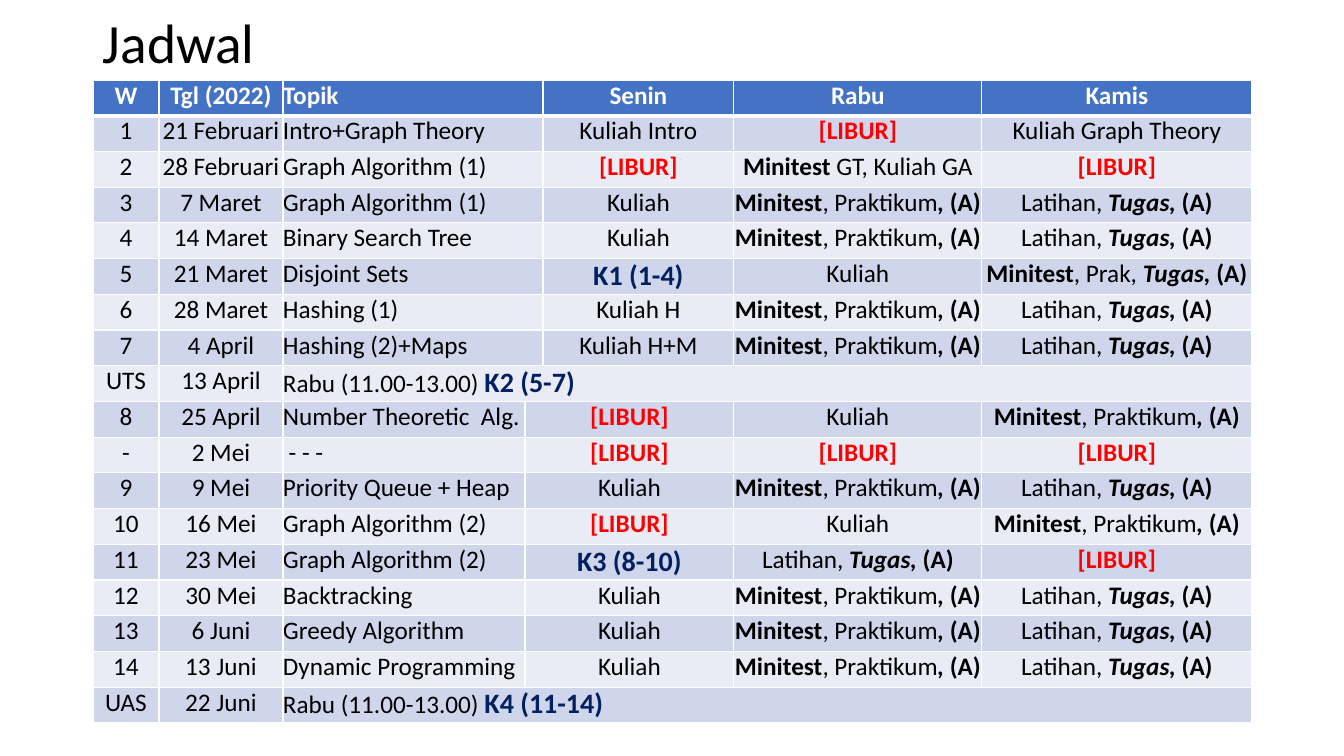
"""Build the weekly course schedule slide."""
from lxml import etree
from pptx import Presentation
from pptx.dml.color import RGBColor
from pptx.enum.text import MSO_ANCHOR, PP_ALIGN
from pptx.oxml.ns import qn
from pptx.util import Pt

COLORS = {
    "header": "4472C4", "odd": "CFD5EA", "even": "E9EBF5", "white": "FFFFFF",
    "black": "000000", "red": "FF0000", "navy": "002060",
}
STYLES = {
    "head": (18, "white", True, False),
    "plain": (18, "black", False, False),
    "bold": (18, "black", True, False),
    "task": (18, "black", True, True),
    "holiday": (18, "red", True, False),
    "exam": (20, "navy", True, False),
    "title": (39.6, "black", False, False),
}


def px(n):
    return round(n * 914400 / 100.8)


def add_run(p, text, style):
    size, color, bold, italic = STYLES[style]
    r = p.add_run()
    r.text = text
    r.font.name = "Calibri"
    r.font.size = Pt(size)
    r.font.color.rgb = RGBColor.from_string(COLORS[color])
    r.font.bold = bold
    r.font.italic = italic


LIBUR = [("[LIBUR]", "holiday")]
ATTEND = ("(A)", "bold")
TASK = ("Tugas, ", "task")
LATIHAN = [("Latihan, ", "plain"), TASK, ATTEND]
PRAKTIKUM = [("Minitest", "bold"), (", Praktikum", "plain"), (", ", "task"), ATTEND]
PRAK_TUGAS = [("Minitest", "bold"), (", Prak, ", "plain"), TASK, ATTEND]
MINITEST_GT = [("Minitest ", "bold"), ("GT, Kuliah GA", "plain")]
EXAM_TIME = ("Rabu (11.00-13.00) ", "plain")

SCHEDULE = [
    ("W", "Tgl (2022)", "Topik", "Senin", "Rabu", "Kamis"),
    ("1", "21 Februari", "Intro+Graph Theory", "Kuliah Intro", LIBUR, "Kuliah Graph Theory"),
    ("2", "28 Februari", "Graph Algorithm (1)", LIBUR, MINITEST_GT, LIBUR),
    ("3", "7 Maret", "Graph Algorithm (1)", "Kuliah", PRAKTIKUM, LATIHAN),
    ("4", "14 Maret", "Binary Search Tree", "Kuliah", PRAKTIKUM, LATIHAN),
    ("5", "21 Maret", "Disjoint Sets", [("K1 (1-4)", "exam")], "Kuliah", PRAK_TUGAS),
    ("6", "28 Maret", "Hashing (1)", "Kuliah H", PRAKTIKUM, LATIHAN),
    ("7", "4 April", "Hashing (2)+Maps", "Kuliah H+M", PRAKTIKUM, LATIHAN),
    ("UTS", "13 April", [EXAM_TIME, ("K2 (5-7)", "exam")]),
    ("8", "25 April", "Number Theoretic  Alg.", LIBUR, "Kuliah", PRAKTIKUM),
    ("-", "2 Mei", " - - -", LIBUR, LIBUR, LIBUR),
    ("9", "9 Mei", "Priority Queue + Heap", "Kuliah", PRAKTIKUM, LATIHAN),
    ("10", "16 Mei", "Graph Algorithm (2)", LIBUR, "Kuliah", PRAKTIKUM),
    ("11", "23 Mei", "Graph Algorithm (2)", [("K3 (8-10)", "exam")], LATIHAN, LIBUR),
    ("12", "30 Mei", "Backtracking", "Kuliah", PRAKTIKUM, LATIHAN),
    ("13", "6 Juni", "Greedy Algorithm", "Kuliah", PRAKTIKUM, LATIHAN),
    ("14", "13 Juni", "Dynamic Programming", "Kuliah", PRAKTIKUM, LATIHAN),
    ("UAS", "22 Juni", [EXAM_TIME, ("K4 (11-14)", "exam")]),
]
COL_WIDTHS = [66, 124, 242, 18, 191, 248, 270]
UTS_ROW = 8

prs = Presentation()
prs.slide_width, prs.slide_height = px(1344), px(756)
s = prs.slides.add_slide(prs.slide_layouts[6])

title = s.shapes.add_textbox(px(93), px(12), px(1159), px(68))
tf = title.text_frame
tf.word_wrap = True
tf.vertical_anchor = MSO_ANCHOR.MIDDLE
p = tf.paragraphs[0]
p.line_spacing = 0.9
add_run(p, "Jadwal", "title")

table = s.shapes.add_table(
    len(SCHEDULE), len(COL_WIDTHS), px(93), px(80), px(sum(COL_WIDTHS)), px(643)
).table
for col, width in zip(table.columns, COL_WIDTHS):
    col.width = px(width)

for i, entries in enumerate(SCHEDULE):
    band = "header" if i == 0 else "odd" if i % 2 else "even"
    for cell in table.rows[i].cells:
        tcPr = cell._tc.get_or_add_tcPr()
        for side in "LRTB":
            thick = (i, side) in ((0, "B"), (1, "T"))
            ln = etree.SubElement(tcPr, qn(f"a:ln{side}"), w=str(Pt(3 if thick else 1)))
            fill = etree.SubElement(ln, qn("a:solidFill"))
            etree.SubElement(fill, qn("a:srgbClr"), val=COLORS["white"])
        cell.fill.solid()
        cell.fill.fore_color.rgb = RGBColor.from_string(COLORS[band])
        cell.margin_left = cell.margin_right = cell.margin_top = cell.margin_bottom = 0

    if len(entries) == 3:
        starts, merge = (0, 1, 2), (2, 6)
    elif i < UTS_ROW:
        starts, merge = (0, 1, 2, 4, 5, 6), (2, 3)
    else:
        starts, merge = (0, 1, 2, 3, 5, 6), (3, 4)
    table.cell(i, merge[0]).merge(table.cell(i, merge[1]))

    for j, entry in zip(starts, entries):
        p = table.cell(i, j).text_frame.paragraphs[0]
        p.alignment = PP_ALIGN.LEFT if j == 2 else PP_ALIGN.CENTER
        if isinstance(entry, str):
            entry = [(entry, "head" if i == 0 else "plain")]
        for text, style in entry:
            add_run(p, text, style)

prs.save("out.pptx")
